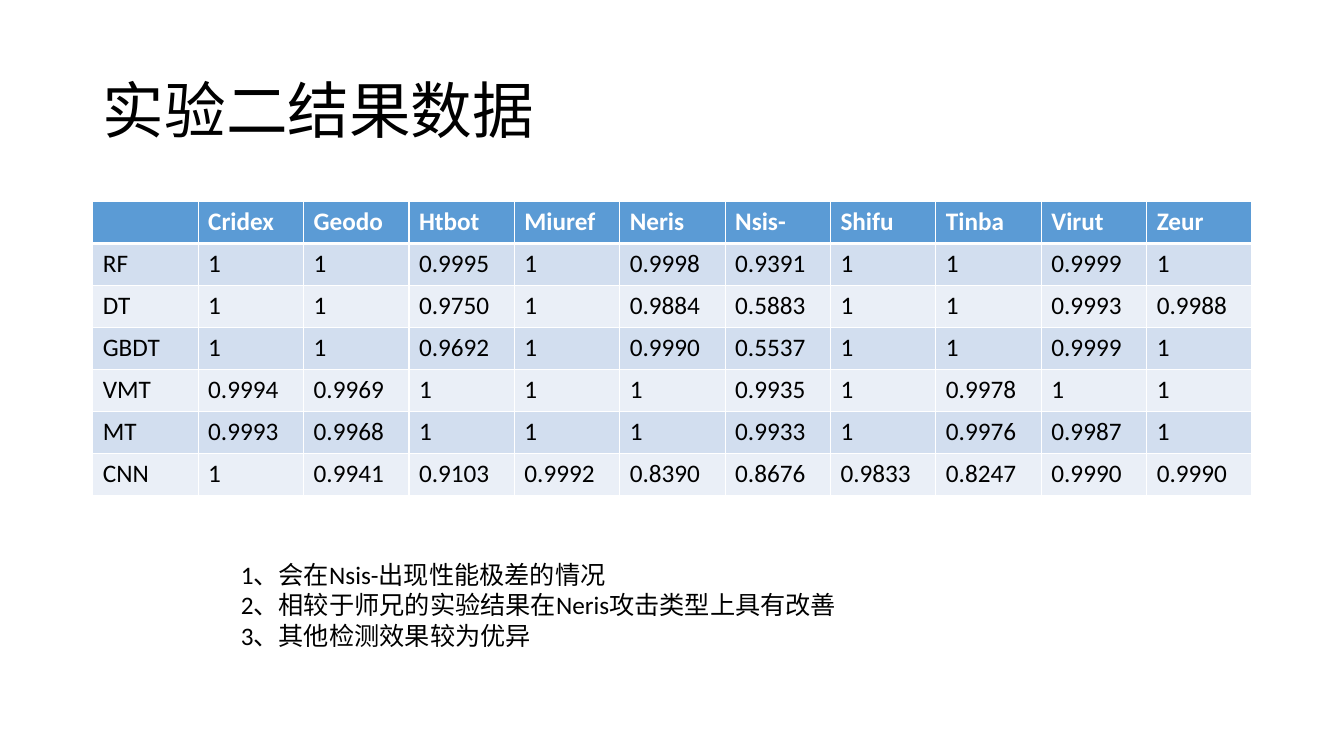
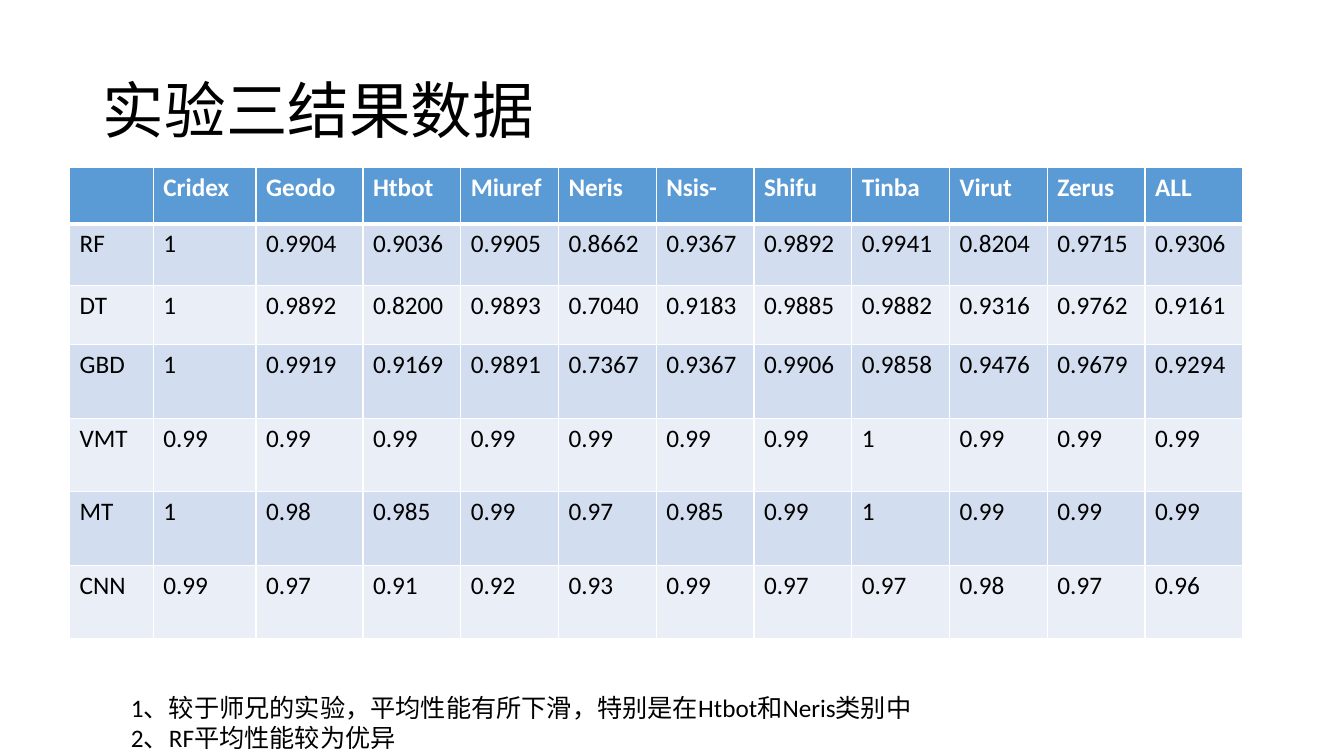
from dataclasses import dataclass
from lxml import etree
from pptx import Presentation
from pptx.dml.color import RGBColor
from pptx.enum.text import MSO_ANCHOR, MSO_AUTO_SIZE, PP_ALIGN
from pptx.oxml.ns import qn
from pptx.util import Inches, Pt

LEFT = PP_ALIGN.LEFT
MIDDLE = MSO_ANCHOR.MIDDLE
GROW = MSO_AUTO_SIZE.SHAPE_TO_FIT_TEXT
TITLE_ONLY = 5


@dataclass(frozen=True)
class Theme:
    font: str = "Calibri"
    title_size: int = 44
    body_size: int = 18
    ink: str = "000000"
    white: str = "FFFFFF"
    header: str = "5B9BD5"
    bands: tuple = ("D2DEEF", "EAEFF7")
    rule: int = 1
    header_rule: int = 3


theme = Theme()


def format_text(frame, size, color, bold=False):
    for paragraph in frame.paragraphs:
        paragraph.alignment = LEFT
        for run in paragraph.runs:
            run.font.name = theme.font
            run.font.size = Pt(size)
            run.font.bold = bold
            run.font.color.rgb = RGBColor.from_string(color)


def add_border(cell, side, width):
    line = etree.SubElement(cell._tc.get_or_add_tcPr(), qn(f"a:ln{side}"), w=str(Pt(width)))
    fill = etree.SubElement(line, qn("a:solidFill"))
    etree.SubElement(fill, qn("a:srgbClr"), val=theme.white)


experiments = [
    {
        "title": "实验二结果数据",
        "table_at": (0.92, 2),
        "columns": [11.5 / 11] * 11,
        "rows": [2.92 / 7] * 7,
        "families": "Cridex Geodo Htbot Miuref Neris Nsis- Shifu Tinba Virut Zeur",
        "scores": [
            "RF 1 1 0.9995 1 0.9998 0.9391 1 1 0.9999 1",
            "DT 1 1 0.9750 1 0.9884 0.5883 1 1 0.9993 0.9988",
            "GBDT 1 1 0.9692 1 0.9990 0.5537 1 1 0.9999 1",
            "VMT 0.9994 0.9969 1 1 1 0.9935 1 0.9978 1 1",
            "MT 0.9993 0.9968 1 1 1 0.9933 1 0.9976 0.9987 1",
            "CNN 1 0.9941 0.9103 0.9992 0.8390 0.8676 0.9833 0.8247 0.9990 0.9990",
        ],
        "findings_at": (2.29, 5.5, 7.73, 1.01),
        "findings": [
            "1、会在Nsis-出现性能极差的情况",
            "2、相较于师兄的实验结果在Neris攻击类型上具有改善",
            "3、其他检测效果较为优异",
        ],
    },
    {
        "title": "实验三结果数据",
        "table_at": (0.69, 1.66),
        "columns": [0.83, 1.02, 1.06] + [0.97] * 9,
        "rows": [0.56, 0.61, 0.59] + [0.73] * 4,
        "families": "Cridex Geodo Htbot Miuref Neris Nsis- Shifu Tinba Virut Zerus ALL",
        "scores": [
            "RF 1 0.9904 0.9036 0.9905 0.8662 0.9367 0.9892 0.9941 0.8204 0.9715 0.9306",
            "DT 1 0.9892 0.8200 0.9893 0.7040 0.9183 0.9885 0.9882 0.9316 0.9762 0.9161",
            "GBD 1 0.9919 0.9169 0.9891 0.7367 0.9367 0.9906 0.9858 0.9476 0.9679 0.9294",
            "VMT 0.99 0.99 0.99 0.99 0.99 0.99 0.99 1 0.99 0.99 0.99",
            "MT 1 0.98 0.985 0.99 0.97 0.985 0.99 1 0.99 0.99 0.99",
            "CNN 0.99 0.97 0.91 0.92 0.93 0.99 0.97 0.97 0.98 0.97 0.96",
        ],
        "findings_at": (1.2, 6.82, 9.06, 1.01),
        "findings": [
            "1、较于师兄的实验，平均性能有所下滑，特别是在Htbot和Neris类别中",
            "2、RF平均性能较为优异",
        ],
    },
]

deck = Presentation()
deck.slide_width = Inches(13.33)
deck.slide_height = Inches(7.5)

for experiment in experiments:
    slide = deck.slides.add_slide(deck.slide_layouts[TITLE_ONLY])

    title = slide.shapes.title
    title.left, title.top = Inches(0.92), Inches(0.4)
    title.width, title.height = Inches(11.5), Inches(1.45)
    title.text_frame.text = experiment["title"]
    title.text_frame.vertical_anchor = MIDDLE
    title.text_frame.paragraphs[0].line_spacing = 0.9
    format_text(title.text_frame, theme.title_size, theme.ink)

    columns, rows = experiment["columns"], experiment["rows"]
    left, top = experiment["table_at"]
    results = slide.shapes.add_table(
        len(rows), len(columns),
        Inches(left), Inches(top), Inches(sum(columns)), Inches(sum(rows)),
    ).table
    for column, width in zip(results.columns, columns):
        column.width = Inches(width)
    for row, height in zip(results.rows, rows):
        row.height = Inches(height)

    lines = [["", *experiment["families"].split()]]
    lines += [scores.split() for scores in experiment["scores"]]
    for r, line in enumerate(lines):
        is_header = r == 0
        fill = theme.header if is_header else theme.bands[(r - 1) % 2]
        for c, value in enumerate(line):
            cell = results.cell(r, c)
            cell.text_frame.text = value
            format_text(cell.text_frame, theme.body_size,
                        theme.white if is_header else theme.ink, is_header)
            for side in "LRTB":
                touches_header = (r, side) in ((0, "B"), (1, "T"))
                add_border(cell, side, theme.header_rule if touches_header else theme.rule)
            cell.fill.solid()
            cell.fill.fore_color.rgb = RGBColor.from_string(fill)

    findings = slide.shapes.add_textbox(*map(Inches, experiment["findings_at"])).text_frame
    findings.word_wrap = True
    findings.auto_size = GROW
    findings.text = "\n".join(experiment["findings"])
    format_text(findings, theme.body_size, theme.ink)

deck.save("out.pptx")
